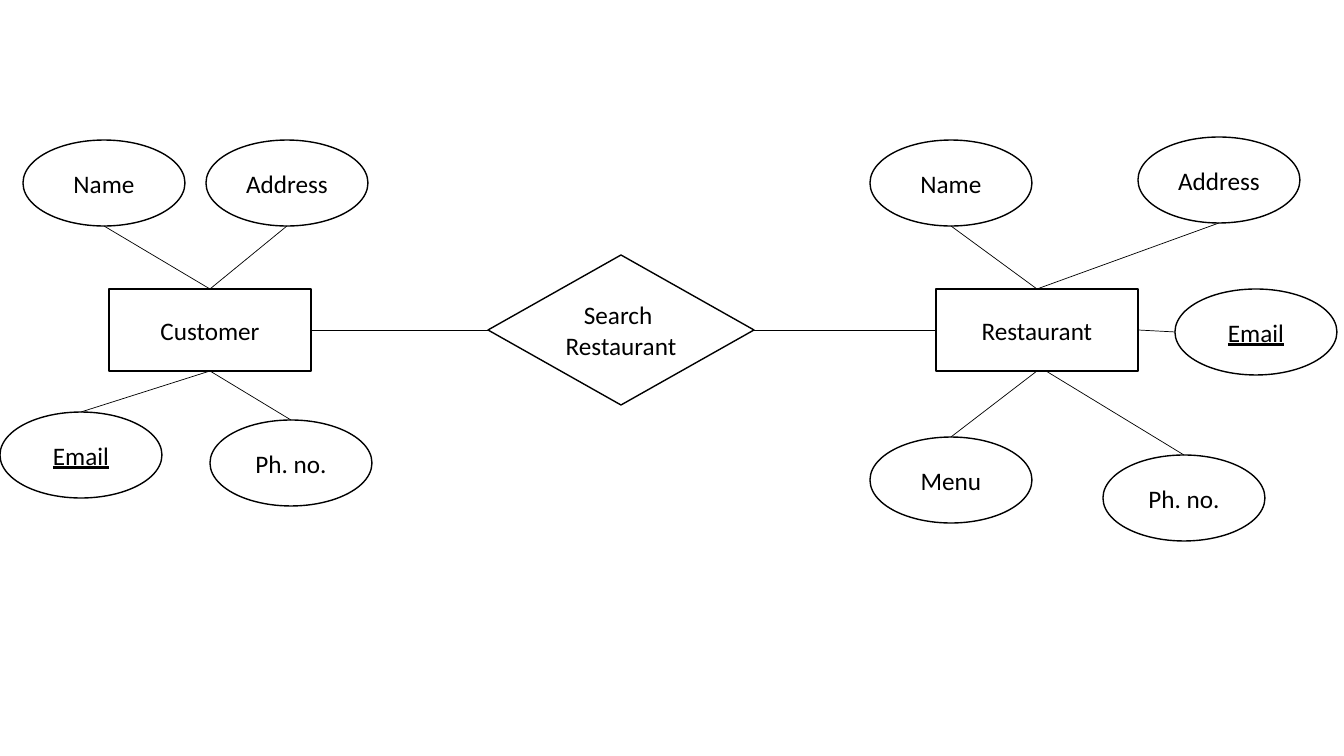
from pptx import Presentation
from pptx.dml.color import RGBColor
from pptx.enum.shapes import MSO_CONNECTOR as LINK, MSO_SHAPE as KIND
from pptx.enum.text import MSO_ANCHOR as ANCHOR, PP_ALIGN as ALIGN
from pptx.oxml.ns import qn
from pptx.util import Pt
from lxml.etree import SubElement

SCALE = 914400 / 100.8
HUES = {"paper": "FFFFFF", "ink": "000000"}
FONT = {"name": "Calibri", "size": Pt(18)}
BOX = (202, 82)
OVAL = (162, 86)
GEM = (266, 150)

# label, left, top, side of the entity it joins, shift of the joint
CLIENT = [
    ("Name", 23, 140, "top", 0),
    ("Address", 206, 140, "top", 0),
    ("Email", 0, 412, "bottom", 0),
    ("Ph. no.", 210, 420, "bottom", 0),
]
DINER = [
    ("Name", 870, 140, "top", 0),
    ("Address", 1138, 137, "top", 0),
    ("Email", 1175, 289, "right", 0),
    ("Menu", 870, 437, "bottom", 0),
    ("Ph. no.", 1103, 455, "bottom", 9),
]
FACING = {"top": "bottom", "bottom": "top", "left": "right", "right": "left"}


def emu(px):
    """Turn pixels into EMU."""
    return round(px * SCALE)


def hue(key):
    """Look up a colour by its role."""
    return RGBColor.from_string(HUES[key])


def node(slide, kind, text, left, top, size):
    """Draw an outlined shape with centred text; a key is underlined."""
    shape = slide.shapes.add_shape(kind, *map(emu, (left, top, *size)))
    shape.shadow.inherit = False
    shape.fill.solid()
    shape.fill.fore_color.rgb = hue("paper")
    shape.line.color.rgb = hue("ink")
    shape.line.width = Pt(1)
    frame = shape.text_frame
    frame.word_wrap = True
    frame.vertical_anchor = ANCHOR.MIDDLE
    frame.text = text
    for para in frame.paragraphs:
        para.alignment = ALIGN.CENTER
        for run in para.runs:
            for key, value in FONT.items():
                setattr(run.font, key, value)
            run.font.color.rgb = hue("ink")
            if text == "Email":
                run.font.underline = True
    return shape


def joint(shape, side):
    """Give the middle point of one side of a shape."""
    x, y = shape.left, shape.top
    wide, high = shape.width, shape.height
    return {
        "top": (x + wide // 2, y),
        "bottom": (x + wide // 2, y + high),
        "left": (x, y + high // 2),
        "right": (x + wide, y + high // 2),
    }[side]


def link(slide, start, side, end, shift=0):
    """Join a side of one shape to the facing side of another."""
    x, y = joint(start, side)
    line = slide.shapes.add_connector(
        LINK.STRAIGHT, x + emu(shift), y, *joint(end, FACING[side]))
    line.line.color.rgb = hue("ink")
    line.line.width = Pt(0.5)
    SubElement(line.element.spPr, qn("a:effectLst"))


def entity(slide, text, left, top, traits):
    """Draw an entity with its attributes and their links."""
    box = node(slide, KIND.RECTANGLE, text, left, top, BOX)
    for label, x, y, side, shift in traits:
        oval = node(slide, KIND.OVAL, label, x, y, OVAL)
        link(slide, box, side, oval, shift)
    return box


def main():
    """Build the entity diagram and save it."""
    deck = Presentation()
    deck.slide_width, deck.slide_height = emu(1344), emu(756)
    slide = deck.slides.add_slide(deck.slide_layouts[6])
    client = entity(slide, "Customer", 109, 289, CLIENT)
    diner = entity(slide, "Restaurant", 936, 289, DINER)
    search = node(slide, KIND.DIAMOND, "Search \nRestaurant", 488, 255, GEM)
    link(slide, client, "right", search)
    link(slide, search, "right", diner)
    deck.save("out.pptx")


main()
